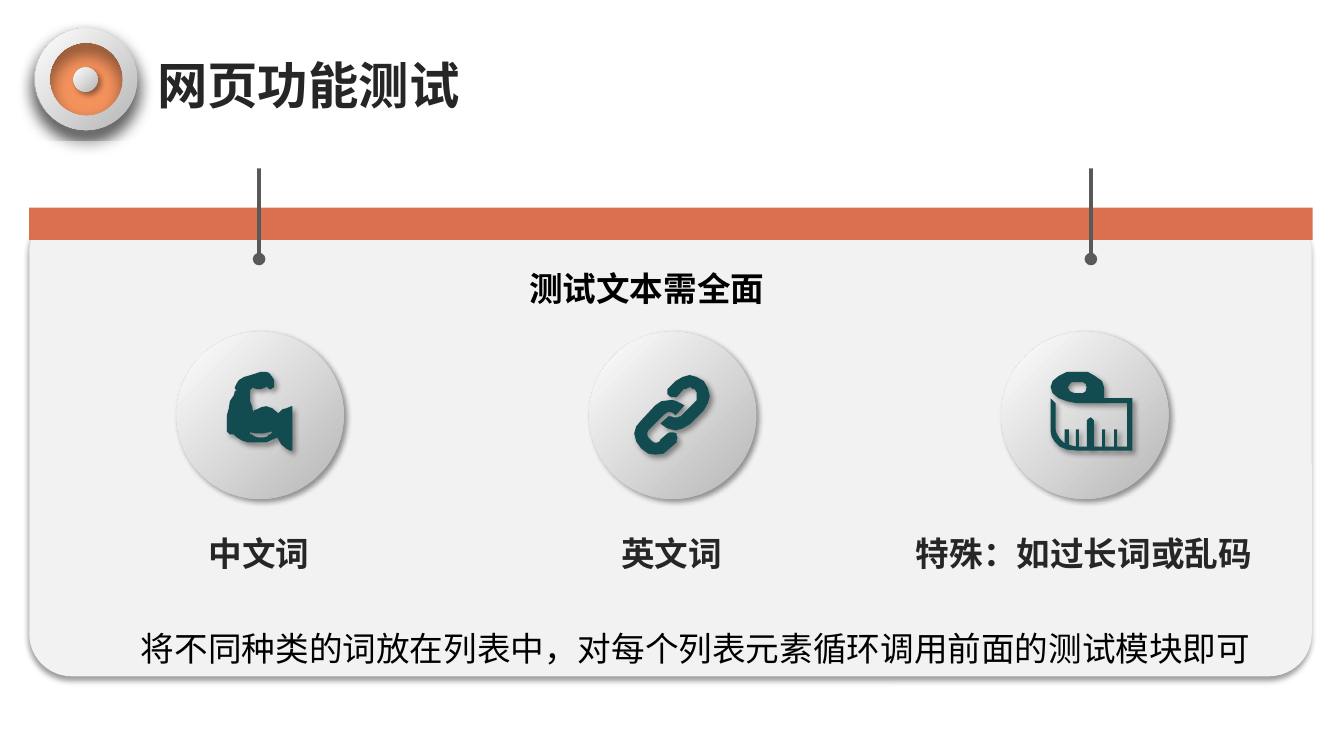
from lxml import etree
from pptx import Presentation
from pptx import util as u
from pptx.dml.color import RGBColor
from pptx.enum import shapes, text
from pptx.oxml.ns import qn

FONT = "Noto Sans CJK SC"
BLACK = RGBColor(0x00, 0x00, 0x00)
INK = RGBColor(0x26, 0x26, 0x26)
WHITE = RGBColor(0xFF, 0xFF, 0xFF)
SILVER = RGBColor(0xBF, 0xBF, 0xBF)
PANEL = RGBColor(0xF2, 0xF2, 0xF2)
BAR = RGBColor(0xDB, 0x70, 0x51)
PIN = RGBColor(0x59, 0x59, 0x59)
TEAL = RGBColor(0x12, 0x4C, 0x50)
ORANGE = RGBColor(0xF4, 0x92, 0x5C)

OVAL = shapes.MSO_SHAPE.OVAL
RECTANGLE = shapes.MSO_SHAPE.RECTANGLE

# Shadows: opacity in percent, blur and distance in points, direction in degrees
SOFT = (40, 4, 3, 45)
SOFT_DOWN = (40, 4, 3, 90)
DEEP_DOWN = (54, 13, 7, 90)

# Icon outlines in hundredths of an inch; "/" starts the next contour
ARM = """23,59 23,62 25,62 26,63 28,64 31,65 37,65 40,64 42,62 43,62 45,60 45,59 36,61 29,61 24,60
/ 39,0 42,1 45,5 47,8 47,14 47,15 45,16 44,17 42,17 41,16 39,14 39,15 34,17 30,17 26,16 26,15
23,18 23,29 25,34 26,40 27,38 30,37 34,35 39,34 45,36 51,41 55,37 59,36 64,34 65,34 65,78 63,78
59,76 54,72 50,65 39,70 21,70 15,68 10,65 8,63 7,62 3,62 2,61 0,59 0,43 2,36 3,29 7,23 8,19
10,18 8,17 8,15 10,11 12,8 17,5 24,3 33,0"""
LINK = """35,25 39,25 42,26 46,28 48,29 49,30 50,30 41,40 39,38 37,37 33,37 30,39 16,53 14,55 13,57
13,60 14,62 16,64 18,66 20,67 23,67 25,66 26,64 33,58 35,57 39,57 42,58 42,60 43,62 42,65 42,67
35,73 29,78 21,79 14,78 7,73 2,66 0,58 2,51 7,45 21,30 27,26
/ 55,0 62,2 69,6 73,13 75,21 73,28 69,35 55,49 48,53 41,55 33,53 27,49 26,48 35,40 35,41 37,41
39,42 43,42 45,41 46,41 61,26 62,25 62,17 61,16 60,14 58,14 57,13 55,12 53,13 51,14 49,14 43,21
42,22 37,22 35,21 33,19 33,14 35,12 41,6 48,2"""
TAPE = """27,10 21,10 19,12 18,14 17,15 18,17 19,19 21,20 24,21 30,21 32,21 35,19 35,17 36,15
35,14 35,12 32,10
/ 27,0 37,0 44,4 51,9 53,15 53,26 81,26 81,78 26,78 16,77 9,74 4,69 1,64 0,59 0,26 5,31 5,57
6,61 9,66 14,71 14,57 18,57 18,72 21,73 25,74 25,57 28,57 28,74 36,74 36,48 37,47 38,46 40,45
41,46 42,47 43,48 43,74 51,74 51,57 54,57 54,74 63,74 63,57 66,57 66,74 76,74 76,31 26,31 16,29
8,26 2,21 0,15 2,9 8,4 16,0"""


def set_shadow(shape, shadow):
    shape.shadow.inherit = False
    if shadow is None:
        return
    opacity, blur, distance, direction = shadow
    effects = shape._element.spPr.find(qn("a:effectLst"))
    outer = etree.SubElement(
        effects, qn("a:outerShdw"), blurRad=str(u.Pt(blur)), dist=str(u.Pt(distance)),
        dir=str(direction * 60000), algn="ctr", rotWithShape="0")
    color = etree.SubElement(outer, qn("a:srgbClr"), val="000000")
    etree.SubElement(color, qn("a:alpha"), val=str(opacity * 1000))


def paint(shape, color, shadow=None):
    shape.fill.solid()
    shape.fill.fore_color.rgb = color
    shape.line.fill.background()
    set_shadow(shape, shadow)


def add_flat(page, kind, left, top, width, height, color, shadow=None):
    shape = page.shapes.add_shape(
        kind, u.Inches(left), u.Inches(top), u.Inches(width), u.Inches(height))
    paint(shape, color, shadow)
    return shape


def add_metal(page, kind, left, top, size, shadow):
    """Round shape shaded from white at top left to silver at bottom right."""
    shape = add_flat(page, kind, left, top, size, size, SILVER)
    shape.rotation = 180
    shape.fill.gradient()
    shape.fill.gradient_angle = 315
    stops = shape.fill.gradient_stops
    for stop, position, color in zip(stops, (0.12, 1), (SILVER, WHITE)):
        stop.position = position
        stop.color.rgb = color
    set_shadow(shape, shadow)
    return shape


def add_badge(page, ring_left):
    add_metal(page, OVAL, 0.73, 0.67, 0.24, SOFT)
    ring = add_metal(page, shapes.MSO_SHAPE.DONUT, ring_left, 0.28, 1.01, DEEP_DOWN)
    ring.adjustments[0] = 0.139


def add_icon(page, outline, left, top):
    contours = [[tuple(map(int, point.split(","))) for point in contour.split()]
                for contour in outline.split("/")]
    builder = page.shapes.build_freeform(*contours[0][0], scale=u.Inches(0.01))
    builder.add_line_segments(contours[0][1:], close=True)
    for contour in contours[1:]:
        builder.move_to(*contour[0])
        builder.add_line_segments(contour[1:], close=True)
    paint(builder.convert_to_shape(u.Inches(left), u.Inches(top)), TEAL, SOFT)


def add_pin(page, x):
    pin = page.shapes.add_connector(
        shapes.MSO_CONNECTOR.STRAIGHT, u.Inches(x), u.Inches(1.54), u.Inches(x), u.Inches(2.57))
    pin.line.color.rgb = PIN
    pin.line.width = u.Pt(3)
    etree.SubElement(pin.line._get_or_add_ln(), qn("a:tailEnd"), type="oval")
    etree.SubElement(pin._element.spPr, qn("a:effectLst"))


def add_text(page, words, left, top, width, height, size=24, color=BLACK, bold=True,
             align=text.PP_ALIGN.LEFT, spacing=1.0, wrap=True):
    box = page.shapes.add_textbox(
        u.Inches(left), u.Inches(top), u.Inches(width), u.Inches(height))
    box.text_frame.word_wrap = wrap
    box.text_frame.auto_size = text.MSO_AUTO_SIZE.SHAPE_TO_FIT_TEXT
    para = box.text_frame.paragraphs[0]
    para.alignment = align
    para.line_spacing = spacing
    span = para.add_run()
    span.text = words
    span.font.size = u.Pt(size)
    span.font.bold = bold
    span.font.color.rgb = color
    span.font.name = FONT
    etree.SubElement(span.font._element, qn("a:ea"), typeface=FONT)


def main():
    deck = Presentation()
    deck.slide_width, deck.slide_height = u.Inches(13.33), u.Inches(7.5)
    page = deck.slides.add_slide(deck.slide_layouts[6])

    # Title
    add_badge(page, 0.34)
    add_text(page, "网页功能测试", 1.46, 0.49, 3.23, 0.71, size=36, color=INK, wrap=False)

    # Hanging panel
    panel = add_flat(page, shapes.MSO_SHAPE.ROUNDED_RECTANGLE,
                     0.29, 2.08, 12.72, 4.63, PANEL, SOFT_DOWN)
    panel.adjustments[0] = 0.091
    add_flat(page, RECTANGLE, 0.29, 2.06, 12.73, 0.32, BAR)
    for x in (2.57, 10.82):
        add_pin(page, x)
    add_flat(page, RECTANGLE, 0, 1.4, 13.42, 0.27, WHITE)

    # Word kinds: label, icon, icon left and top
    kinds = [
        ("中文词", ARM, 2.25, 3.69),
        ("英文词", LINK, 6.29, 3.72),
        ("特殊：如过长词或乱码", TAPE, 10.42, 3.69),
    ]
    for column, (label, icon, icon_left, icon_top) in enumerate(kinds):
        shift = column * 4.09
        add_metal(page, OVAL, 1.75 + shift, 3.29, 1.66, SOFT)
        add_icon(page, icon, icon_left, icon_top)
        add_text(page, label, 0.49 + shift, 5.12, 4.16, 0.63, color=INK,
                 align=text.PP_ALIGN.CENTER, spacing=1.3)

    # Badge face
    add_flat(page, OVAL, 0.45, 0.4, 0.79, 0.79, ORANGE)
    add_badge(page, 0.35)

    # Heading and conclusion
    add_text(page, "测试文本需全面", 5.15, 2.41, 2.57, 0.71, spacing=1.5)
    add_text(page, "将不同种类的词放在列表中，对每个列表元素循环调用前面的测试模块即可",
             1.3, 5.98, 11.55, 0.63, bold=False, spacing=1.5)

    deck.save("out.pptx")


if __name__ == "__main__":
    main()
